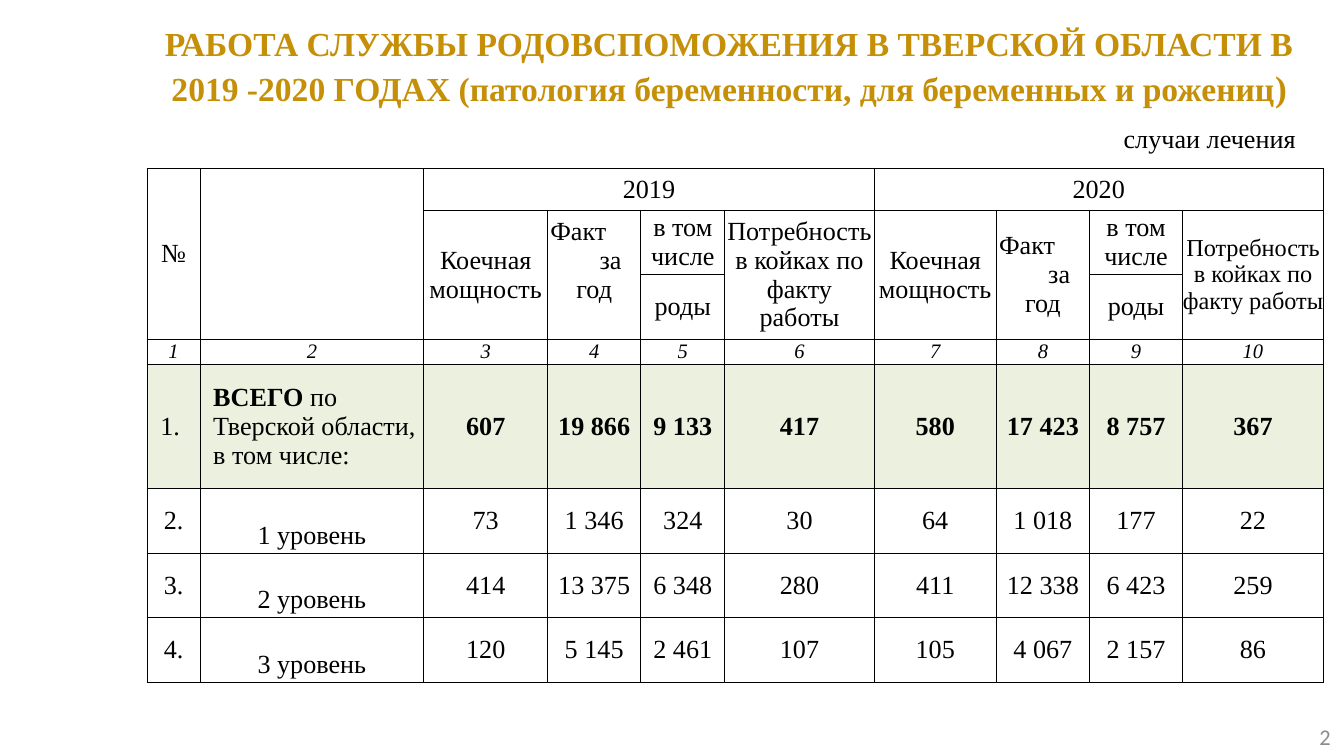
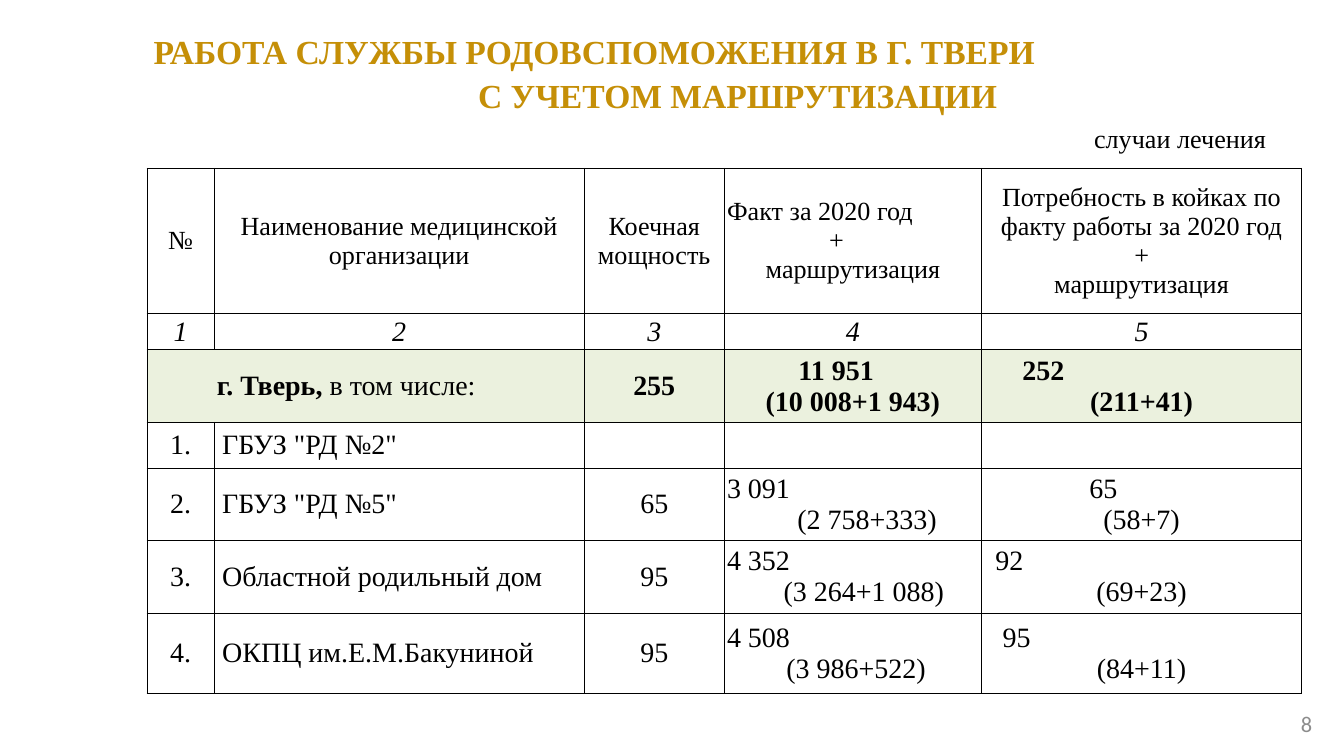
from dataclasses import dataclass

from lxml import etree
from pptx import Presentation
from pptx.dml.color import RGBColor
from pptx.enum.text import MSO_ANCHOR, MSO_AUTO_SIZE, PP_ALIGN
from pptx.oxml.ns import qn
from pptx.util import Cm, Pt

LEFT, CENTER, RIGHT = PP_ALIGN.LEFT, PP_ALIGN.CENTER, PP_ALIGN.RIGHT
TOP, MIDDLE = MSO_ANCHOR.TOP, MSO_ANCHOR.MIDDLE
NO_FIT = MSO_AUTO_SIZE.NONE


@dataclass(frozen=True)
class Theme:
    gold: str = "C58F07"
    ink: str = "000000"
    muted: str = "8C8C8C"
    total_fill: str = "EBF1DE"
    serif: str = "Times New Roman"
    sans: str = "Calibri"
    title: float = 18
    title_tail: float = 19
    header: float = 14
    page: float = 12
    border: float = 0.5


@dataclass(frozen=True)
class Cell:
    lines: tuple
    top: float = 0
    bottom: float = 0
    size: float = None


THEME = Theme()
UNITS = "случаи лечения"
BLANK_LINE = 0.54
EDGE = 0.05
TABLE_LEFT, TABLE_TOP = 2.78, 3.18


def level(name):
    return Cell((name,), top=BLANK_LINE)


# A line is centred text, or a (text, indent in cm) pair set flush left; *stars* mark bold.
FACT = (("Факт", EDGE), ("за", 0.98), "год")
NEED = "Потребность в койках по факту работы"
BEDS = "Коечная мощность"

REGION = dict(
    title=["РАБОТА СЛУЖБЫ РОДОВСПОМОЖЕНИЯ В ТВЕРСКОЙ ОБЛАСТИ В 2019 -2020 ГОДАХ "
           "(патология беременности, для беременных и рожениц"],
    title_tail=")",
    title_box=(2.77, 0.25, 22.02, 1.93),
    units_right=24.74,
    page="2", page_box=(19.48, 13.54, 5.92, 0.76),
    columns=[1.0, 4.23, 2.34, 1.76, 1.59, 2.82, 2.31, 1.76, 1.76, 2.66],
    heights=[0.79, 1.22, 1.22, 0.48, 2.34, 1.22, 1.22, 1.22],
    merges=[(0, 0, 2, 0), (0, 1, 2, 1), (0, 2, 0, 5), (0, 6, 0, 9)]
           + [(1, column, 2, column) for column in (2, 3, 5, 6, 7, 9)],
    index_row=3, index_size=11, body_size=14,
    rows=[
        ["№", "", "2019", "", "", "", "2020", "", "", ""],
        ["", "", BEDS, Cell(FACT, bottom=BLANK_LINE), "в том числе", NEED,
         BEDS, Cell(FACT), "в том числе", Cell((NEED,), size=13)],
        ["", "", "", "", "роды", "", "", "", "роды", ""],
        [str(number) for number in range(1, 11)],
        [("1.", 0.25), ("*ВСЕГО* по Тверской области, в том числе:", 0.25), "*607*", "*19 866*",
         "*9 133*", "*417*", "*580*", "*17 423*", "*8 757*", "*367*"],
        ["2.", level("1 уровень"), "73", "1 346", "324", "30", "64", "1 018", "177", "22"],
        ["3.", level("2 уровень"), "414", "13 375", "6 348", "280", "411", "12 338", "6 423", "259"],
        ["4.", level("3 уровень"), "120", "5 145", "2 461", "107", "105", "4 067", "2 157", "86"],
    ],
)

CITY = dict(
    title=[("РАБОТА СЛУЖБЫ РОДОВСПОМОЖЕНИЯ В Г. ТВЕРИ", 0.06),
           ("С УЧЕТОМ МАРШРУТИЗАЦИИ", 6.19)],
    title_tail="",
    title_box=(2.59, 0.41, 22.23, 1.8),
    units_right=24.18,
    page="8", page_box=(17.86, 13.28, 7.19, 0.76),
    columns=[1.27, 6.99, 2.65, 4.86, 6.05],
    heights=[2.74, 0.69, 1.37, 0.86, 1.37, 1.37, 1.52],
    merges=[(2, 0, 2, 1)],
    index_row=1, index_size=15, body_size=15,
    rows=[
        ["№", "Наименование медицинской организации", BEDS,
         Cell((("Факт за 2020 год", EDGE), ("+", 1.98), "маршрутизация")),
         Cell(("Потребность в койках по факту работы за 2020 год", "+", "маршрутизация"))],
        [str(number) for number in range(1, 6)],
        [("*г. Тверь,* в том числе:", 1.32), "", "*255*",
         Cell((("*11 951*", 1.4), "*(10 008+1 943)*")), Cell((("*252*", 0.77), "*(211+41)*"))],
        ["1.", ('ГБУЗ "РД №2"', 0.15), "", "", ""],
        ["2.", ('ГБУЗ "РД №5"', 0.15), "65",
         Cell((("3 091", EDGE), ("(2 758+333)", 1.38))), Cell((("65", 2.04), "(58+7)"))],
        ["3.", ("Областной родильный дом", 0.15), "95",
         Cell((("4 352", EDGE), ("(3 264+1 088)", 1.12))), Cell((("92", 0.26), "(69+23)"))],
        ["4.", ("ОКПЦ им.Е.М.Бакуниной", 0.15), "95",
         Cell((("4 508", EDGE), ("(3 986+522)", 1.17))), Cell((("95", 0.4), "(84+11)"))],
    ],
)


def style(run, size, color=THEME.ink, face=THEME.serif, bold=False, italic=False):
    run.font.size = Pt(size)
    run.font.name = face
    run.font.bold = bold
    run.font.italic = italic
    run.font.color.rgb = RGBColor.from_string(color)


def write_lines(frame, lines, size, bold=False, **look):
    for number, line in enumerate(lines):
        paragraph = frame.add_paragraph() if number else frame.paragraphs[0]
        text, indent = line if isinstance(line, tuple) else (line, None)
        paragraph.alignment = CENTER if indent is None else LEFT
        if indent is not None:
            properties = paragraph._p.get_or_add_pPr()
            properties.set("marL", str(Cm(indent)))
            properties.set("indent", "0")
        for part, words in enumerate(text.split("*")):
            if words:
                run = paragraph.add_run()
                run.text = words
                style(run, size, bold=bold or part % 2 == 1, **look)


def add_title(slide, content):
    title = slide.shapes.title
    title.left, title.top, title.width, title.height = map(Cm, content["title_box"])
    frame = title.text_frame
    frame.auto_size = NO_FIT
    frame.word_wrap = True
    frame.vertical_anchor = TOP
    write_lines(frame, content["title"], THEME.title, bold=True, color=THEME.gold)
    for paragraph in frame.paragraphs:
        paragraph.line_spacing = 1.07
    if content["title_tail"]:
        tail = frame.paragraphs[-1].add_run()
        tail.text = content["title_tail"]
        style(tail, THEME.title_tail, THEME.gold, bold=True)


def add_note(slide, text, box, anchor, size, color, face):
    frame = slide.shapes.add_textbox(*map(Cm, box)).text_frame
    frame.word_wrap = True
    frame.vertical_anchor = anchor
    frame.text = text
    frame.paragraphs[0].alignment = RIGHT
    style(frame.paragraphs[0].runs[0], size, color, face)


def add_borders(cell):
    properties = cell._tc.get_or_add_tcPr()
    for position, edge in enumerate(("a:lnL", "a:lnR", "a:lnT", "a:lnB")):
        line = etree.Element(qn(edge), w=str(Pt(THEME.border)))
        fill = etree.SubElement(line, qn("a:solidFill"))
        etree.SubElement(fill, qn("a:srgbClr"), val=THEME.ink)
        properties.insert(position, line)


def fill_cell(cell, value, size, italic, is_total):
    content = value if isinstance(value, Cell) else Cell((value,))
    cell.margin_left = cell.margin_right = 0
    cell.margin_top, cell.margin_bottom = Cm(content.top), Cm(content.bottom)
    cell.vertical_anchor = MIDDLE
    if is_total:
        cell.fill.solid()
        cell.fill.fore_color.rgb = RGBColor.from_string(THEME.total_fill)
    else:
        cell.fill.background()
    add_borders(cell)
    write_lines(cell.text_frame, content.lines, content.size or size, italic=italic)


def add_figures(slide, content):
    columns, heights, index_row = content["columns"], content["heights"], content["index_row"]
    table = slide.shapes.add_table(
        len(heights), len(columns), Cm(TABLE_LEFT), Cm(TABLE_TOP),
        Cm(sum(columns)), Cm(sum(heights))).table
    table.first_row = table.horz_banding = False
    for column, width in zip(table.columns, columns):
        column.width = Cm(width)
    for row, height in zip(table.rows, heights):
        row.height = Cm(height)
    for r, values in enumerate(content["rows"]):
        if r < index_row:
            size = THEME.header
        else:
            size = content["index_size"] if r == index_row else content["body_size"]
        for c, value in enumerate(values):
            fill_cell(table.cell(r, c), value, size, r == index_row, r == index_row + 1)
    for top, left, bottom, right in content["merges"]:
        table.cell(top, left).merge(table.cell(bottom, right))


def main():
    deck = Presentation()
    deck.slide_width, deck.slide_height = Cm(25.4), Cm(14.28)
    title_only = deck.slide_layouts[5]
    for content in (REGION, CITY):
        slide = deck.slides.add_slide(title_only)
        add_title(slide, content)
        add_figures(slide, content)
        add_note(slide, UNITS, (content["units_right"] - 4, 2.18, 4, 0.86), TOP,
                 THEME.header, THEME.ink, THEME.serif)
        add_note(slide, content["page"], content["page_box"], MIDDLE,
                 THEME.page, THEME.muted, THEME.sans)
    deck.save("out.pptx")


if __name__ == "__main__":
    main()
